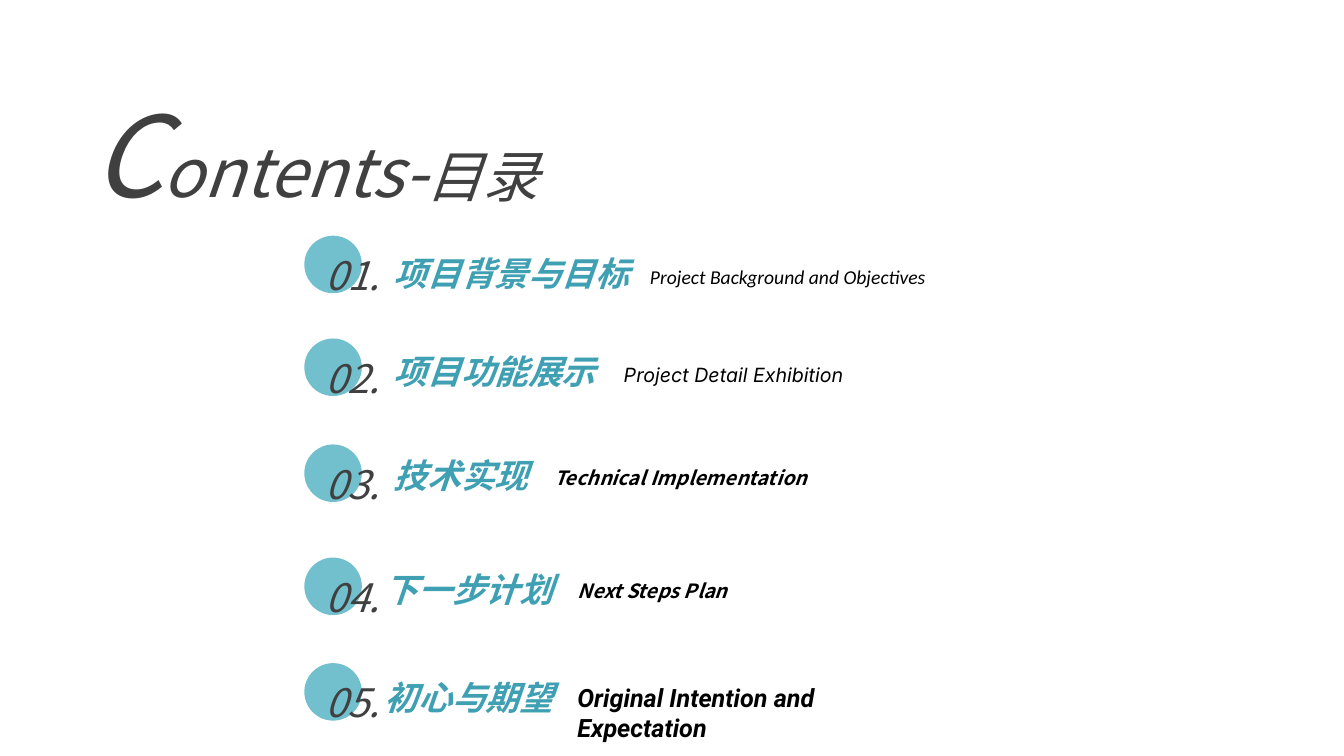
from pptx import Presentation
from pptx import util as u
from pptx.dml.color import RGBColor
from pptx.enum import shapes, text
from pptx.oxml.ns import qn
from lxml import etree

CJK = "Noto Sans CJK SC"
CJK_KR = "Noto Sans CJK KR"


def rgb(value):
    return RGBColor.from_string(value)


class ContentsSlide:
    dark, teal, circle, black = "404040", "3EA0B2", "72C0CE", "000000"
    diameter = 1.45

    def __init__(self, prs):
        self.slide = prs.slides.add_slide(prs.slide_layouts[5])

    def run(self, p, words, size, font, color, bold=False, east=CJK):
        r = p.add_run()
        r.text = words
        f = r.font
        f.size, f.name, f.bold, f.italic = u.Pt(size), font, bold, True
        f.color.rgb = rgb(color)
        ea = etree.Element(qn("a:ea"), typeface=east)
        r._r.rPr.find(qn("a:latin")).addnext(ea)

    def frame(self, sp, wrap, inset):
        tf = sp.text_frame
        tf.word_wrap = wrap
        tf.auto_size = text.MSO_AUTO_SIZE.SHAPE_TO_FIT_TEXT
        tf.vertical_anchor = text.MSO_ANCHOR.TOP
        if not inset:
            tf.margin_left = tf.margin_right = 0
            tf.margin_top = tf.margin_bottom = 0
        return tf.paragraphs[0]

    def title(self, box, parts):
        sp = self.slide.shapes.title
        sp.left, sp.top, sp.width, sp.height = map(u.Cm, box)
        p = self.frame(sp, False, True)
        p.alignment = text.PP_ALIGN.CENTER
        for words, size in parts:
            self.run(p, words, size, CJK, self.dark)

    def label(self, box, words, size, font, color, bold=True, wrap=True,
              inset=False, parent=None):
        sp = (parent or self.slide).shapes.add_textbox(*map(u.Cm, box))
        p = self.frame(sp, wrap, inset)
        self.run(p, words, size, font, color, bold)

    def badge(self, left, top, number):
        group = self.slide.shapes.add_group_shape()
        sp = group.shapes.add_shape(
            shapes.MSO_SHAPE.OVAL, u.Cm(left), u.Cm(top),
            u.Cm(self.diameter), u.Cm(self.diameter))
        sp.shadow.inherit = False
        sp.fill.solid()
        sp.fill.fore_color.rgb = rgb(self.circle)
        sp.line.fill.background()
        self.label((left + 0.28, top + 0.27, 2.24, 1.45), f"{number:02}.", 28,
                   CJK, self.dark, bold=False, inset=True, parent=group)

    def heading(self, left, top, width, words, wrap):
        self.label((left, top, width, 1.02), words, 24, "Lato", self.teal,
                   wrap=wrap)

    def subtitle(self, left, top, width, words, size, font, bold):
        self.label((left, top, width, 0.61), words, size, font, self.black,
                   bold=bold)


def main():
    prs = Presentation()
    prs.slide_width, prs.slide_height = u.Cm(33.87), u.Cm(19.05)
    s = ContentsSlide(prs)
    s.title((1.6, 2.03, 12.67, 3.68),
            [("C", 80), ("ontents-", 48), ("目录", 40)])

    chapters = [
        (5.94, (9.93, 6.38, 7.19, "项目背景与目标", True),
         (16.38, 6.68, 9.8, "Project Background and Objectives",
          14, "Calibri", False)),
        (8.53, (9.93, 8.84, 5.21, "项目功能展示", False),
         (15.72, 9.14, 9.8, "Project Detail Exhibition",
          14, "Inter", False)),
        (11.2, (9.93, 11.46, 3.43, "技术实现", False),
         (13.97, 11.73, 10.62, "Technical Implementation",
          14, CJK_KR, True)),
        (14.05, (9.7, 14.33, 4.27, "下一步计划", False),
         (14.55, 14.58, 16.43, "Next Steps Plan", 14, CJK_KR, True)),
        (16.71, (9.7, 17.07, 4.27, "初心与期望", False),
         (14.55, 17.2, 8.94, "Original Intention and Expectation",
          18, "Roboto", True)),
    ]
    for number, (top, heading, subtitle) in enumerate(chapters, 1):
        s.badge(7.67, top, number)
        s.heading(*heading)
        s.subtitle(*subtitle)

    prs.save("out.pptx")


if __name__ == "__main__":
    main()
